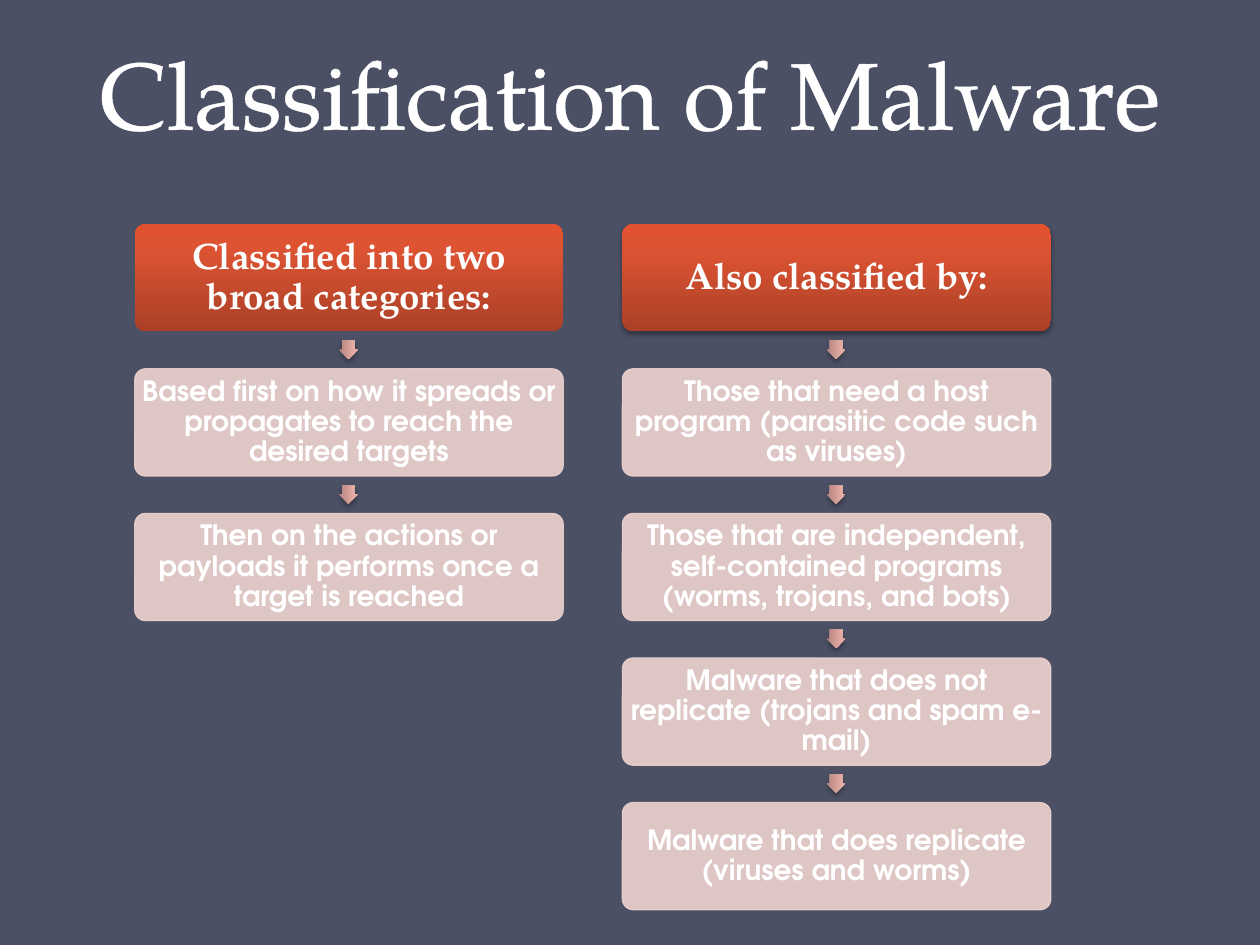
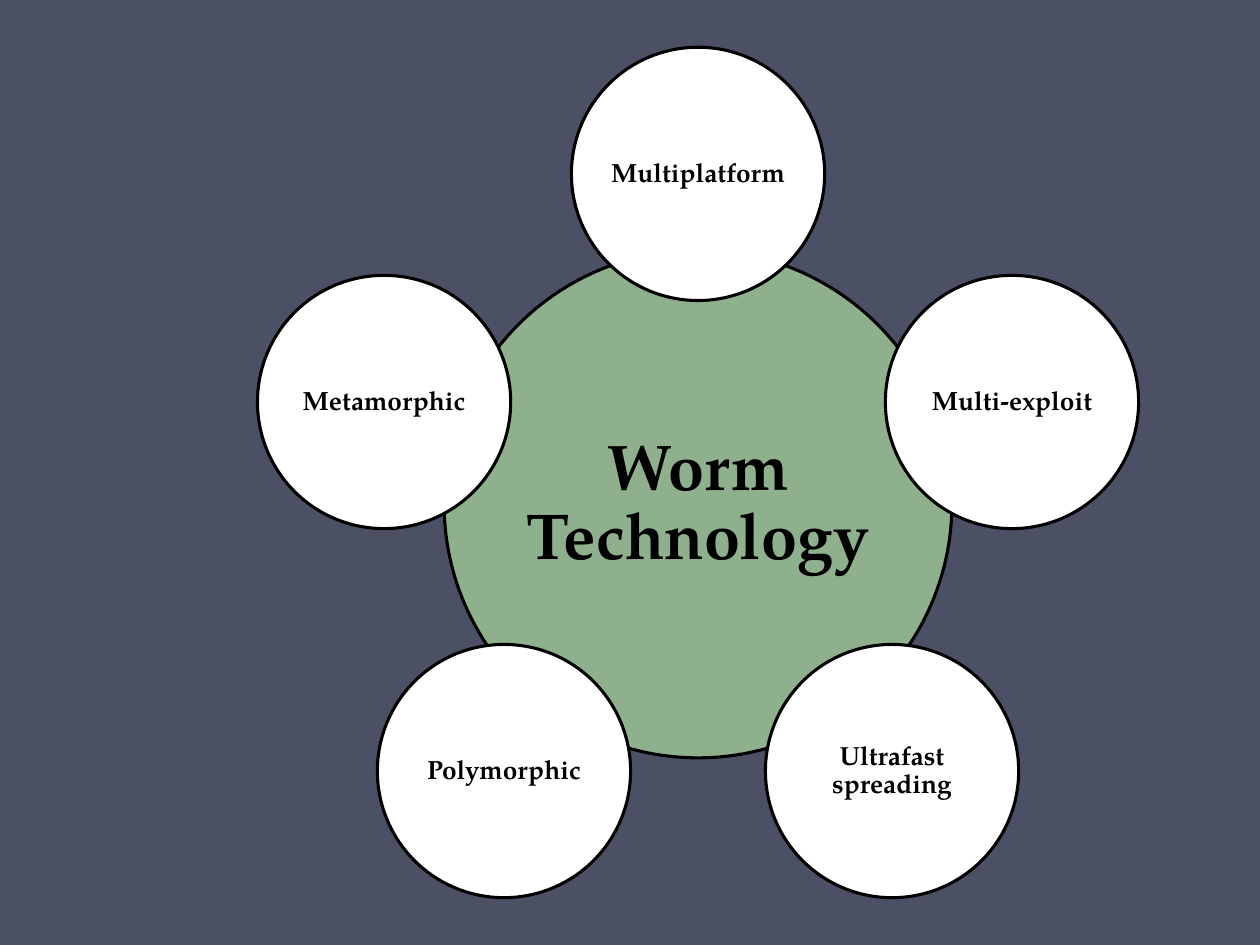
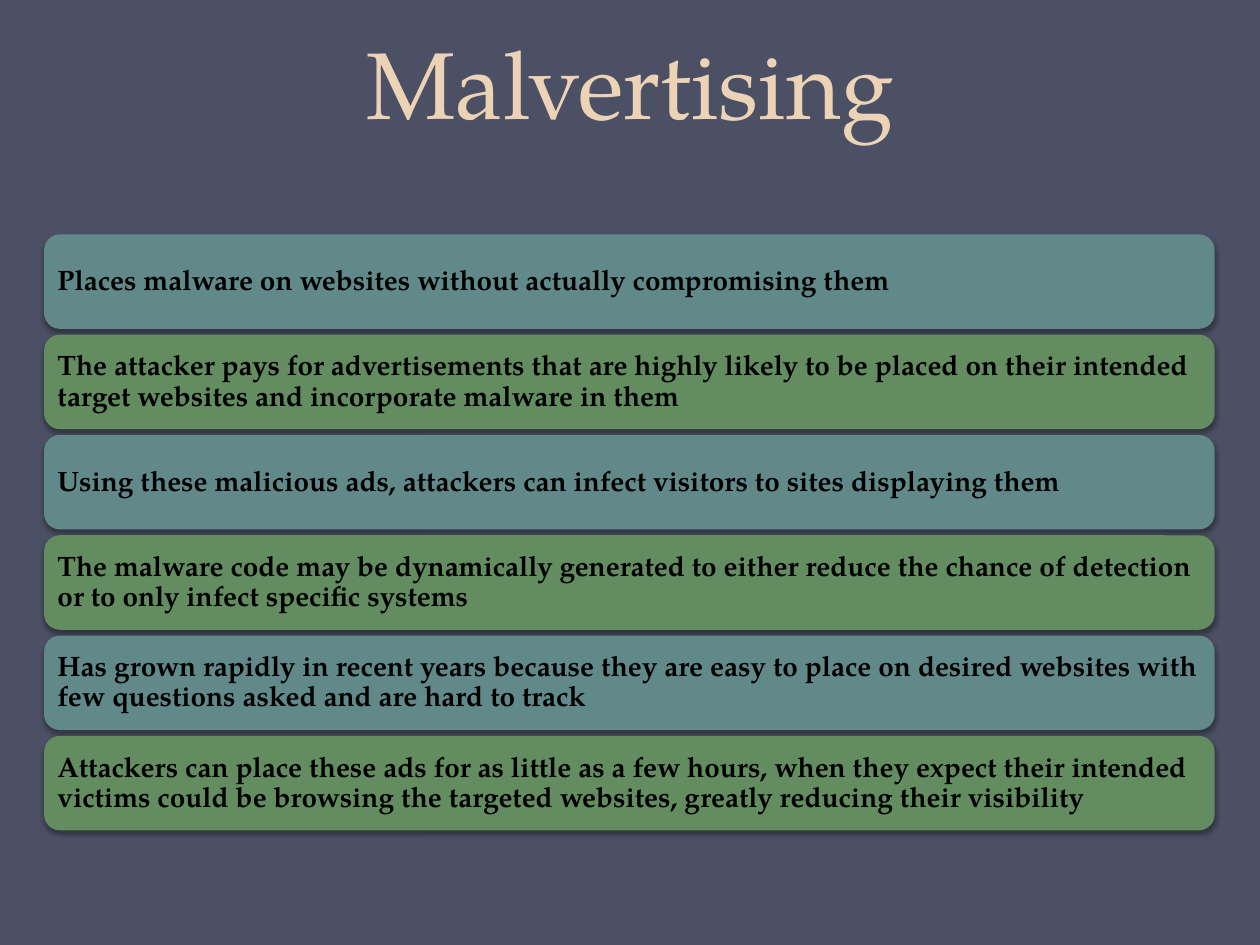
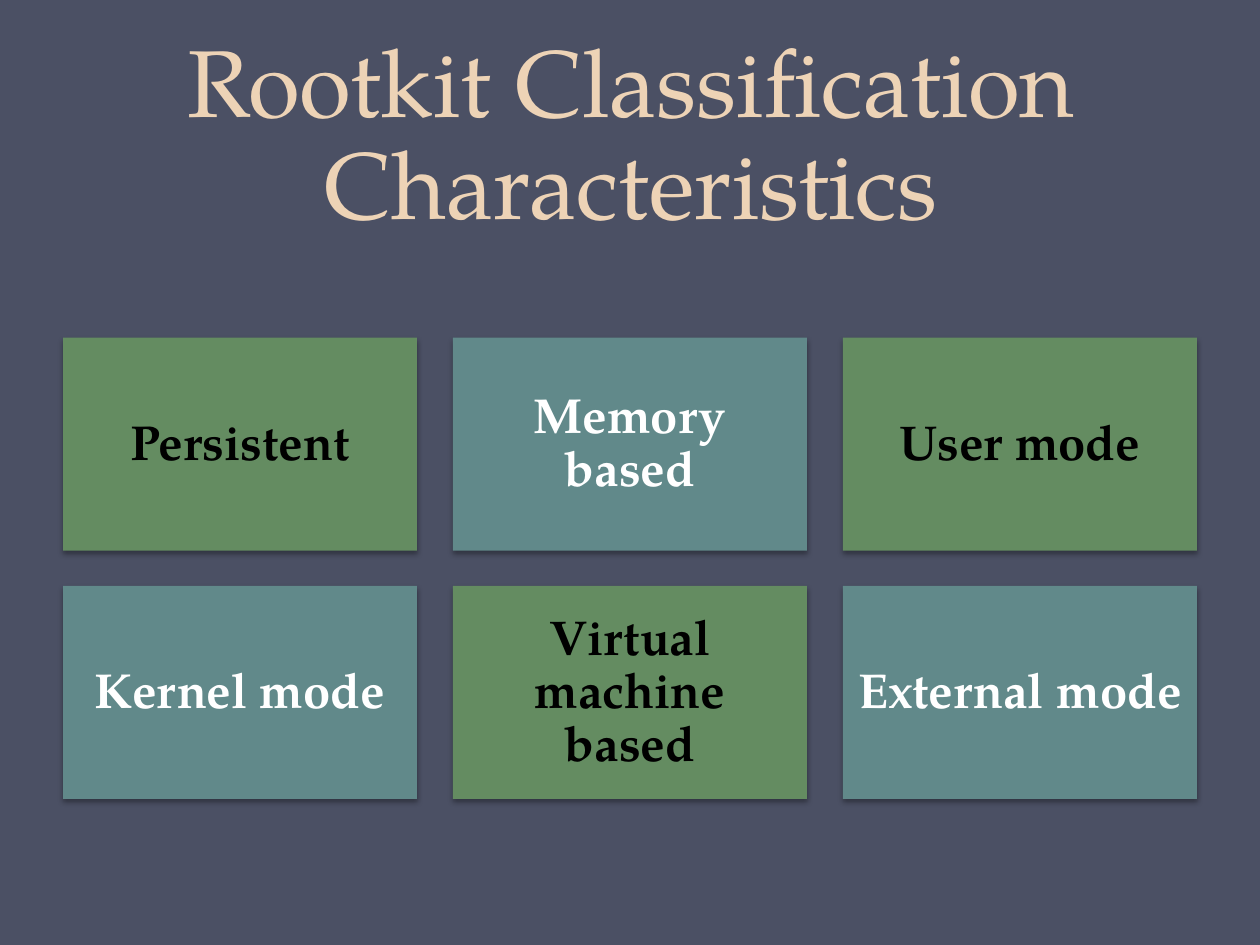
from copy import deepcopy
from dataclasses import dataclass
from math import cos, pi, sin

from lxml.etree import SubElement
from pptx import Presentation
from pptx.dml.color import RGBColor as RGB
from pptx.enum.shapes import MSO_SHAPE as Kind
from pptx.enum.text import MSO_ANCHOR as Anchor, MSO_AUTO_SIZE as Fit, PP_ALIGN as Align
from pptx.oxml.ns import qn
from pptx.util import Inches, Pt


@dataclass(frozen=True)
class Theme:
    """Colours, fonts and type sizes of the deck."""
    back: str = "4B5064"
    white: str = "FFFFFF"
    black: str = "000000"
    sand: str = "EDD3B6"
    teal: str = "61898A"
    green: str = "648C61"
    sage: str = "8FB08C"
    pink: str = "EED3D0"
    ember: tuple = ("AB4027", "DE5433", "E35230")
    rose: tuple = ("B1847F", "E5ACA4", "E8ACA4")
    serif: str = "TeX Gyre Pagella"
    sans: str = "TeX Gyre Adventor"
    title: int = 54
    hub: int = 37
    tile: int = 28
    head: int = 21
    body: int = 16
    ring: int = 15


T = Theme()


def write(shape, text, size, color, font=T.serif, bold=True, inset=0.1,
          align=Align.CENTER, anchor=Anchor.MIDDLE, space=0.9):
    """Put one styled paragraph into a shape."""
    frame = shape.text_frame
    frame.word_wrap, frame.auto_size = True, Fit.NONE
    frame.vertical_anchor = anchor
    frame.margin_left = frame.margin_right = Inches(inset)
    frame.margin_top = frame.margin_bottom = Inches(min(inset, 0.05) if space != 0.9 else inset)
    par = frame.paragraphs[0]
    par.text, par.alignment, par.line_spacing = text, align, space
    par.font.name, par.font.size, par.font.bold = font, Pt(size), bold
    par.font.color.rgb = RGB.from_string(color)


def draw(slide, kind, at, fill, line=None, width=0.75, alpha=None, shade=False):
    """Add a shape; a tuple of three colours gives an upward gradient."""
    shape = slide.shapes.add_shape(kind, *map(Inches, at))
    shape.shadow.inherit = False
    if isinstance(fill, tuple):
        shape.fill.gradient()
        shape.fill.gradient_angle = 90
        stops = shape.element.spPr.find(".//" + qn("a:gsLst"))
        stops.append(deepcopy(stops[0]))
        for stop, spot, color in zip(shape.fill.gradient_stops, (0, 0.8, 1), fill):
            stop.position, stop.color.rgb = spot, RGB.from_string(color)
    else:
        shape.fill.solid()
        shape.fill.fore_color.rgb = RGB.from_string(fill)
    if line:
        shape.line.color.rgb = RGB.from_string(line)
        shape.line.width = Pt(width)
    else:
        shape.line.fill.background()
    if alpha:
        for color in list(shape.element.spPr.iter(qn("a:srgbClr"))):
            SubElement(color, qn("a:alpha"), val=str(alpha * 1000))
    if shade:
        cast = SubElement(shape.element.spPr.find(qn("a:effectLst")), qn("a:outerShdw"),
                          blurRad=str(Pt(3.1)), dist=str(Pt(1.8)), dir="5400000", rotWithShape="0")
        color = SubElement(cast, qn("a:srgbClr"), val=T.black)
        SubElement(color, qn("a:alpha"), val="35000")
    return shape


deck = Presentation()
deck.slide_width, deck.slide_height = Inches(10), Inches(7.5)
ground = deck.slide_master.background.fill
ground.solid()
ground.fore_color.rgb = RGB.from_string(T.back)
TITLED, BLANK = deck.slide_layouts[5], deck.slide_layouts[6]

# Titles; the second slide has none
heads = [
    ("Classification of Malware", (0.5, 0, 9, 1.23), T.white),
    None,
    ("Malvertising", (0.5, 0, 9, 1.15), T.sand),
    ("Rootkit Classification Characteristics", (0.51, 0.13, 9, 1.81), T.sand),
]
slides = []
for head in heads:
    slide = deck.slides.add_slide(TITLED if head else BLANK)
    slides.append(slide)
    if head:
        text, at, color = head
        title = slide.shapes.title
        title.left, title.top, title.width, title.height = map(Inches, at)
        write(title, text, T.title, color, bold=False, anchor=Anchor.BOTTOM, space=Pt(58))
kinds, worm, ads, root = slides

# Slide 1: two columns of boxes joined by arrows
style = next(kinds.shapes.title.element.iter(qn("a:defRPr")))
edge = SubElement(style, qn("a:ln"), w=str(Pt(1.45)))
SubElement(SubElement(edge, qn("a:solidFill")), qn("a:srgbClr"), val=T.white)
style.insert(0, edge)

columns = [
    (1.07, False, "Classified into two broad categories:", [
        "Based first on how it spreads or propagates to reach the desired targets",
        "Then on the actions or payloads it performs once a target is reached",
    ]),
    (4.94, True, "Also classified by:", [
        "Those that need a host program (parasitic code such as viruses)",
        "Those that are independent, self-contained programs (worms, trojans, and bots)",
        "Malware that does not replicate (trojans and spam e-mail)",
        "Malware that does replicate (viruses and worms)",
    ]),
]
wide, high, step = 3.4, 0.85, 4.59 / 4
for left, shade, head, items in columns:
    top = 1.78
    box = draw(kinds, Kind.ROUNDED_RECTANGLE, (left, top, wide, high), T.ember, shade=shade)
    box.adjustments[0] = 0.1
    write(box, head, T.head, T.white, inset=0.03)
    for item in items:
        arrow = draw(kinds, Kind.RIGHT_ARROW, (left + wide / 2 - 0.08, top + 0.92, 0.15, 0.15),
                     T.rose, shade=True)
        arrow.rotation = 90
        arrow.adjustments[0] = 0.67
        top += step
        box = draw(kinds, Kind.ROUNDED_RECTANGLE, (left, top, wide, high), T.pink,
                   line=T.pink, alpha=90)
        box.adjustments[0] = 0.1
        write(box, item, T.body, T.white, font=T.sans, inset=0.02)

# Slide 2: a hub with five circles around it
mid, deep, reach = 5.54, 4, 2.62
hub, ring = 4.03, 2.01
disc = draw(worm, Kind.OVAL, (mid - hub / 2, deep - hub / 2, hub, hub), T.sage, T.black, 1.75)
write(disc, "Worm Technology", T.hub, T.black, inset=0.05)
traits = ["Multiplatform", "Multi-exploit", "Ultrafast spreading", "Polymorphic", "Metamorphic"]
for i, trait in enumerate(traits):
    turn = 2 * pi * i / len(traits)
    left = mid + reach * sin(turn) - ring / 2
    top = deep - reach * cos(turn) - ring / 2
    disc = draw(worm, Kind.OVAL, (left, top, ring, ring), T.white, T.black, 1.75)
    write(disc, trait, T.ring, T.black, inset=0.02)

# Slide 3: stacked bars in turning colours
facts = [
    "Places malware on websites without actually compromising them",
    "The attacker pays for advertisements that are highly likely to be placed on their "
    "intended target websites and incorporate malware in them",
    "Using these malicious ads, attackers can infect visitors to sites displaying them",
    "The malware code may be dynamically generated to either reduce the chance of "
    "detection or to only infect specific systems",
    "Has grown rapidly in recent years because they are easy to place on desired websites "
    "with few questions asked and are hard to track",
    "Attackers can place these ads for as little as a few hours, when they expect their "
    "intended victims could be browsing the targeted websites, greatly reducing their visibility",
]
for i, fact in enumerate(facts):
    bar = draw(ads, Kind.ROUNDED_RECTANGLE, (0.35, 1.86 + i * 3.98 / 5, 9.29, 0.75),
               (T.teal, T.green)[i % 2], shade=True)
    write(bar, fact, T.body, T.black, inset=0.07, align=Align.LEFT)

# Slide 4: a grid of three by two tiles
modes = ["Persistent", "Memory based", "User mode",
         "Kernel mode", "Virtual machine based", "External mode"]
for i, mode in enumerate(modes):
    row, col = divmod(i, 3)
    fill, ink = ((T.green, T.black), (T.teal, T.white))[i % 2]
    tile = draw(root, Kind.RECTANGLE, (0.5 + col * 6.19 / 2, 2.68 + row * 1.97, 2.81, 1.69),
                fill, shade=True)
    write(tile, mode, T.tile, ink, inset=0.12)

deck.save("out.pptx")
